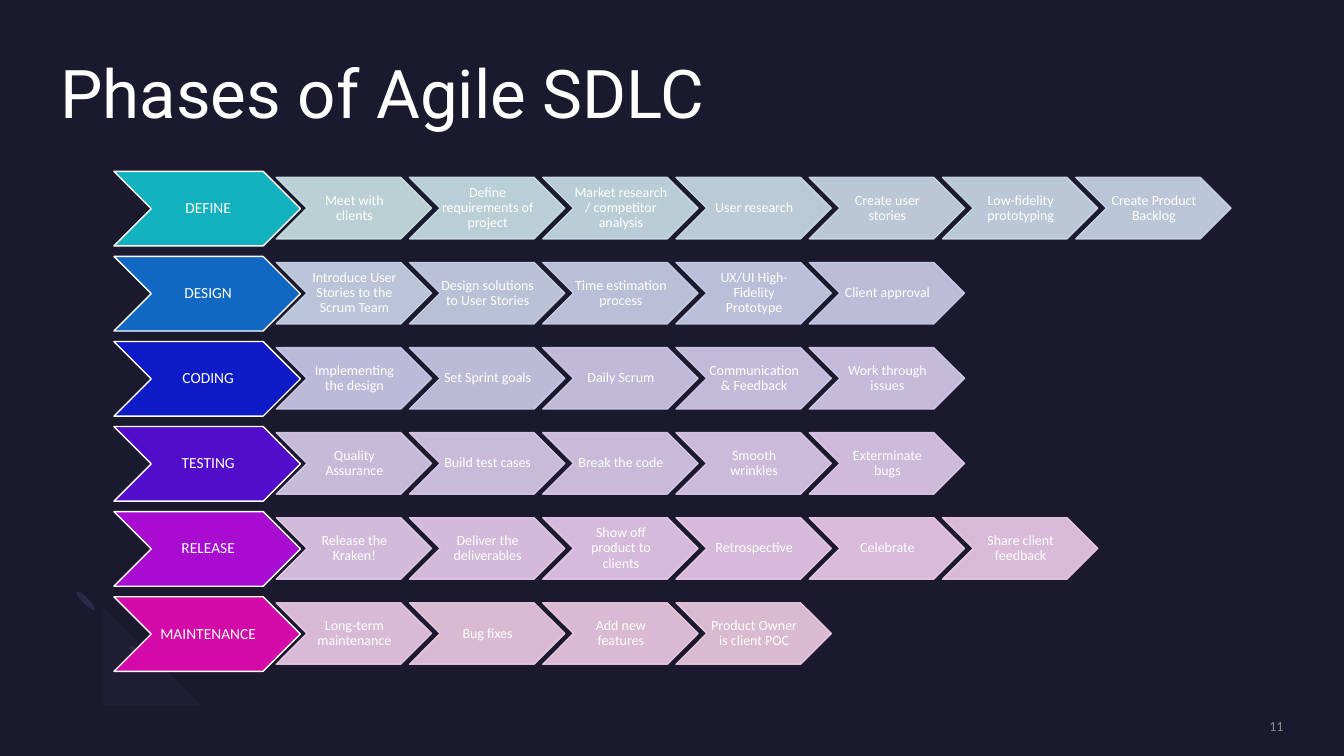
import itertools
from dataclasses import dataclass
from typing import Any

import lxml.etree
import pptx
import pptx.dml.color
import pptx.enum.shapes
import pptx.enum.text
import pptx.oxml.ns
import pptx.util

Inches = pptx.util.Inches
Pt = pptx.util.Pt
RGBColor = pptx.dml.color.RGBColor
Shape = pptx.enum.shapes.MSO_SHAPE
Align = pptx.enum.text.PP_ALIGN
Anchor = pptx.enum.text.MSO_ANCHOR

NIGHT = RGBColor(0x1B, 0x19, 0x2E)
WHITE = RGBColor(0xFF, 0xFF, 0xFF)
GREY = RGBColor(0xA6, 0xA6, 0xA6)
DUSK = RGBColor(0x2C, 0x28, 0x4A)
LILAC = RGBColor(0x77, 0x71, 0xB2)
TEAL = RGBColor(0x12, 0xB1, 0xBF)
AZURE = RGBColor(0x10, 0x68, 0xC3)
BLUE = RGBColor(0x0F, 0x1B, 0xC7)
INDIGO = RGBColor(0x52, 0x0D, 0xCB)
PURPLE = RGBColor(0xA7, 0x0C, 0xD0)
PINK = RGBColor(0xD4, 0x0A, 0xA8)
RAMP = [
    (0, RGBColor(0xCC, 0xE4, 0xE8)),
    (11, RGBColor(0xCC, 0xCE, 0xEB)),
    (12, RGBColor(0xCD, 0xCC, 0xEB)),
    (25, RGBColor(0xEC, 0xCC, 0xEE)),
    (26, RGBColor(0xEE, 0xCC, 0xED)),
    (31, RGBColor(0xEF, 0xCC, 0xE2)),
]

TOP = 1.7
ROW = 4.22 / 5
STEP = 7.93 / 6


@dataclass
class Phase:
    name: str
    tint: RGBColor
    steps: list[str]


@dataclass
class Box:
    left: float
    top: float
    width: float
    height: float

    def spot(self) -> list[int]:
        return [Inches(v) for v in (self.left, self.top, self.width, self.height)]


PHASES = [
    Phase("DEFINE", TEAL, [
        "Meet with clients", "Define requirements of project",
        "Market research / competitor analysis", "User research",
        "Create user stories", "Low-fidelity prototyping", "Create Product Backlog"]),
    Phase("DESIGN", AZURE, [
        "Introduce User Stories to the Scrum Team", "Design solutions to User Stories",
        "Time estimation process", "UX/UI High-Fidelity Prototype", "Client approval"]),
    Phase("CODING", BLUE, [
        "Implementing the design", "Set Sprint goals", "Daily Scrum",
        "Communication & Feedback", "Work through issues"]),
    Phase("TESTING", INDIGO, [
        "Quality Assurance", "Build test cases", "Break the code",
        "Smooth wrinkles", "Exterminate bugs"]),
    Phase("RELEASE", PURPLE, [
        "Release the Kraken!", "Deliver the deliverables", "Show off product to clients",
        "Retrospective", "Celebrate", "Share client feedback"]),
    Phase("MAINTENANCE", PINK, [
        "Long-term maintenance", "Bug fixes", "Add new features",
        "Product Owner is client POC"]),
]


def blend(place: int) -> RGBColor:
    for (low, start), (high, end) in itertools.pairwise(RAMP):
        if place <= high:
            part = (place - low) / (high - low)
            return RGBColor(*(round(a + (b - a) * part) for a, b in zip(start, end)))
    return RAMP[-1][1]


def fade(node: Any, percent: int) -> None:
    qn = pptx.oxml.ns.qn
    for tint in node.iter(qn("a:srgbClr")):
        lxml.etree.SubElement(tint, qn("a:alpha")).set("val", str(percent * 1000))


def apply(target: Any, values: dict[str, Any]) -> None:
    for name, value in values.items():
        setattr(target, name, value)


def write(shape: Any, text: str, face: str, size: int, tint: RGBColor, align: Any,
          anchor: Any, space: float, pads: tuple[float, float, float, float]) -> None:
    frame = shape.text_frame
    frame.text = text
    sides = ("margin_left", "margin_top", "margin_right", "margin_bottom")
    apply(frame, {
        "word_wrap": True,
        "auto_size": pptx.enum.text.MSO_AUTO_SIZE.NONE,
        "vertical_anchor": anchor,
        **{side: Inches(pad) for side, pad in zip(sides, pads)},
    })
    line = frame.paragraphs[0]
    apply(line, {"alignment": align, "line_spacing": space})
    font = line.runs[0].font
    apply(font, {"name": face, "size": Pt(size)})
    font.color.rgb = tint


def paint(shape: Any, fill: RGBColor, edge: RGBColor | None = None) -> None:
    shape.shadow.inherit = False
    shape.fill.solid()
    shape.fill.fore_color.rgb = fill
    if edge is None:
        shape.line.fill.background()
    else:
        shape.line.color.rgb = edge
        shape.line.width = Pt(1)


def arrow(shapes: Any, box: Box, text: str, size: int, fill: RGBColor,
          edge: RGBColor, pad: float) -> Any:
    shape = shapes.add_shape(Shape.CHEVRON, *box.spot())
    paint(shape, fill, edge)
    write(shape, text, "Calibri", size, WHITE, Align.CENTER, Anchor.MIDDLE, 0.9,
          (pad, 0.01, 0, 0.01))
    return shape


def curve(*knots: tuple[float, float]) -> list[tuple[float, float]]:
    points = []
    for count in range(1, 13):
        t = count / 12
        parts = ((1 - t) ** 3, 3 * t * (1 - t) ** 2, 3 * t * t * (1 - t), t ** 3)
        points.append(tuple(sum(p * k[axis] for p, k in zip(parts, knots))
                            for axis in (0, 1)))
    return points


def swirl(shapes: Any) -> None:
    for left, top in ((1.35, 6.37), (0.82, 5.83)):
        dot = shapes.add_shape(Shape.OVAL, *Box(left, top, 0.06, 0.26).spot())
        paint(dot, DUSK)
        dot.rotation = 135
    trace = shapes.build_freeform(0.76, 6.59, scale=Inches(1))
    trace.add_line_segments([
        *curve((0.76, 6.59), (0.56, 6.39), (0.58, 6.05), (0.81, 5.82)),
        (0.99, 6),
        *curve((0.99, 6), (0.87, 6.11), (0.86, 6.29), (0.96, 6.38)),
        *curve((0.96, 6.38), (1.06, 6.48), (1.23, 6.47), (1.35, 6.36)),
        (1.52, 6.54),
        *curve((1.52, 6.54), (1.3, 6.76), (0.95, 6.79), (0.76, 6.59)),
    ], close=True)
    ring = trace.convert_to_shape()
    paint(ring, LILAC)
    fade(ring._element, 5)


def main() -> None:
    deck = pptx.Presentation()
    apply(deck, {"slide_width": Inches(13.33), "slide_height": Inches(7.5)})
    slide = deck.slides.add_slide(deck.slide_layouts[5])
    slide.background.fill.solid()
    slide.background.fill.fore_color.rgb = NIGHT
    shapes = slide.shapes
    swirl(shapes)

    title = shapes.title
    sides = ("left", "top", "width", "height")
    apply(title, dict(zip(sides, Box(0.6, 0.6, 12.13, 1.46).spot())))
    write(title, "Phases of Agile SDLC", "Roboto", 48, WHITE, Align.LEFT, Anchor.TOP,
          0.9, (0, 0, 0, 0))
    page = shapes.add_textbox(*Box(10.88, 7.12, 1.85, 0.17).spot())
    write(page, "11", "Calibri", 10, GREY, Align.RIGHT, Anchor.MIDDLE, 1.0, (0, 0, 0, 0))
    fade(page._element, 80)

    place = itertools.count()
    for row, phase in enumerate(PHASES):
        top = TOP + row * ROW
        arrow(shapes, Box(1.13, top, 1.85, 0.74), phase.name, 11, phase.tint, WHITE, 0.02)
        for col, text in enumerate(phase.steps):
            tint = blend(next(place))
            box = Box(2.74 + col * STEP, top + 0.06, 1.54, 0.61)
            step = arrow(shapes, box, text, 10, tint, tint, 0.01)
            fade(step._element.spPr, 90)

    deck.save("out.pptx")


if __name__ == "__main__":
    main()
